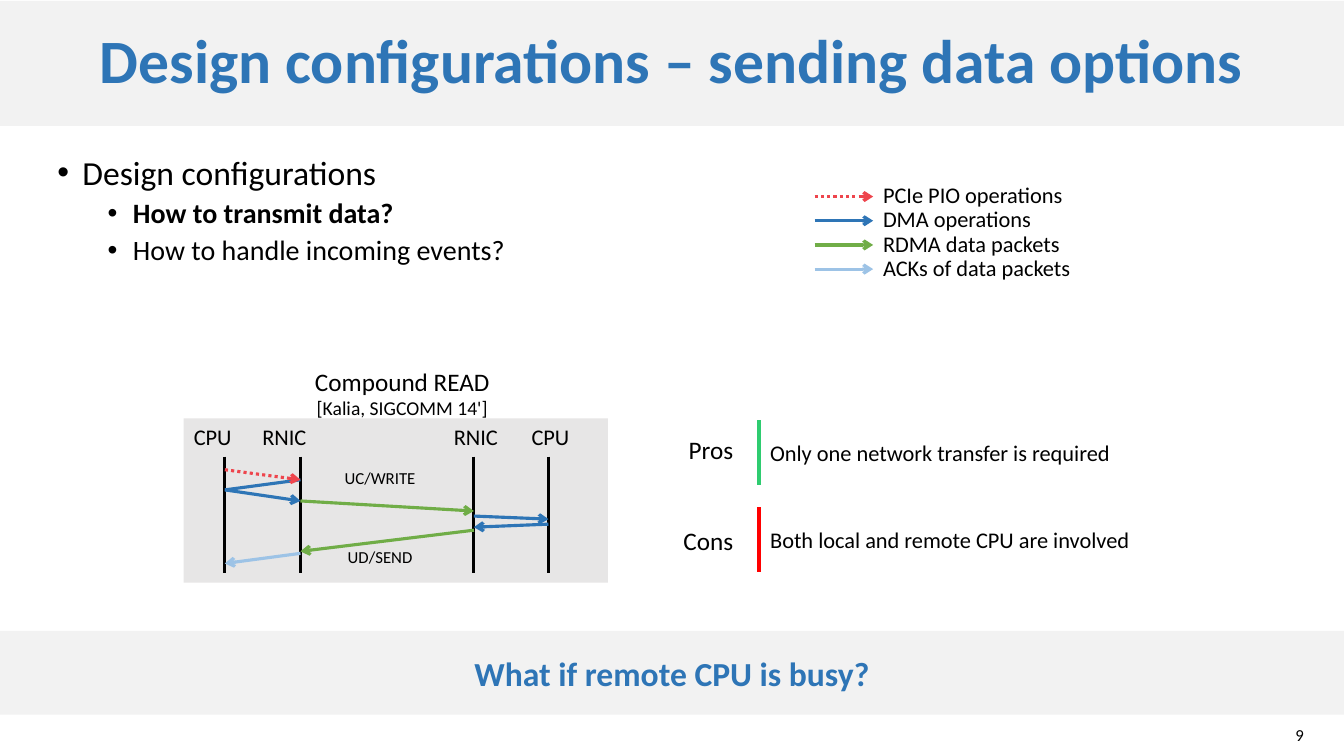
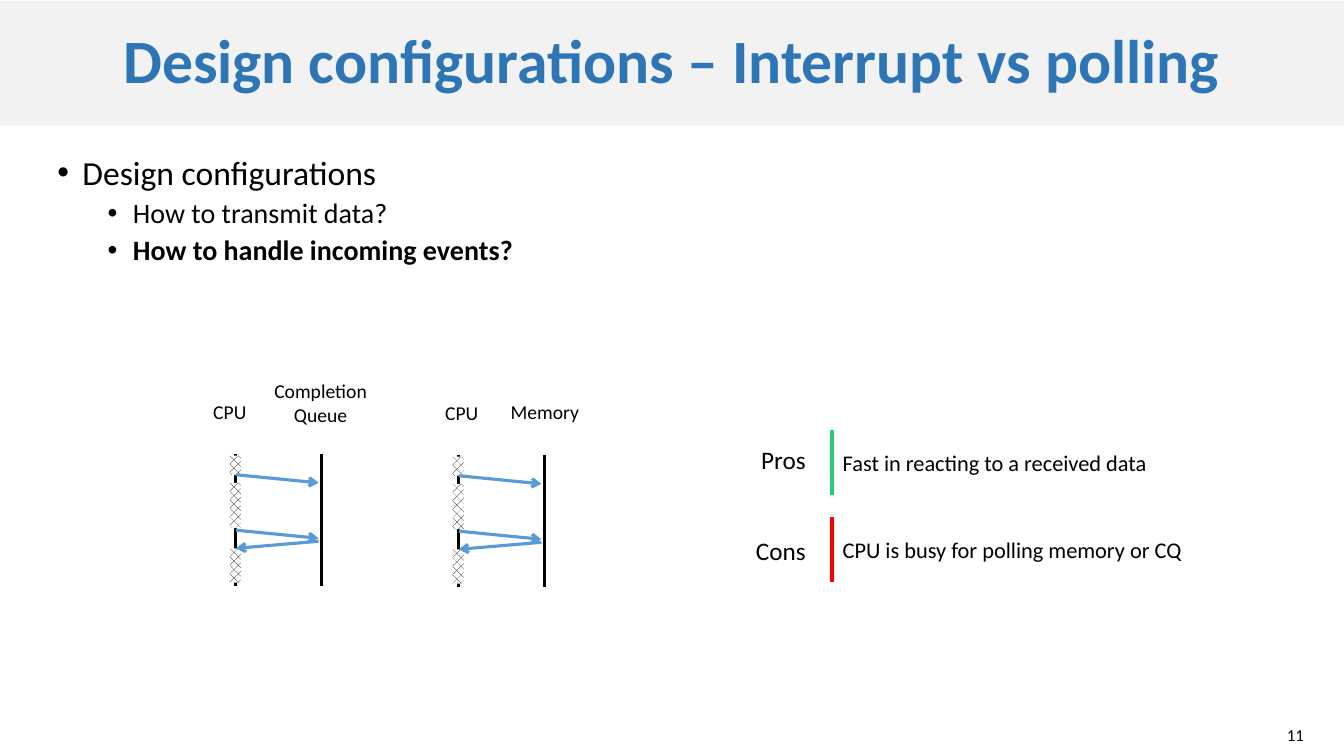
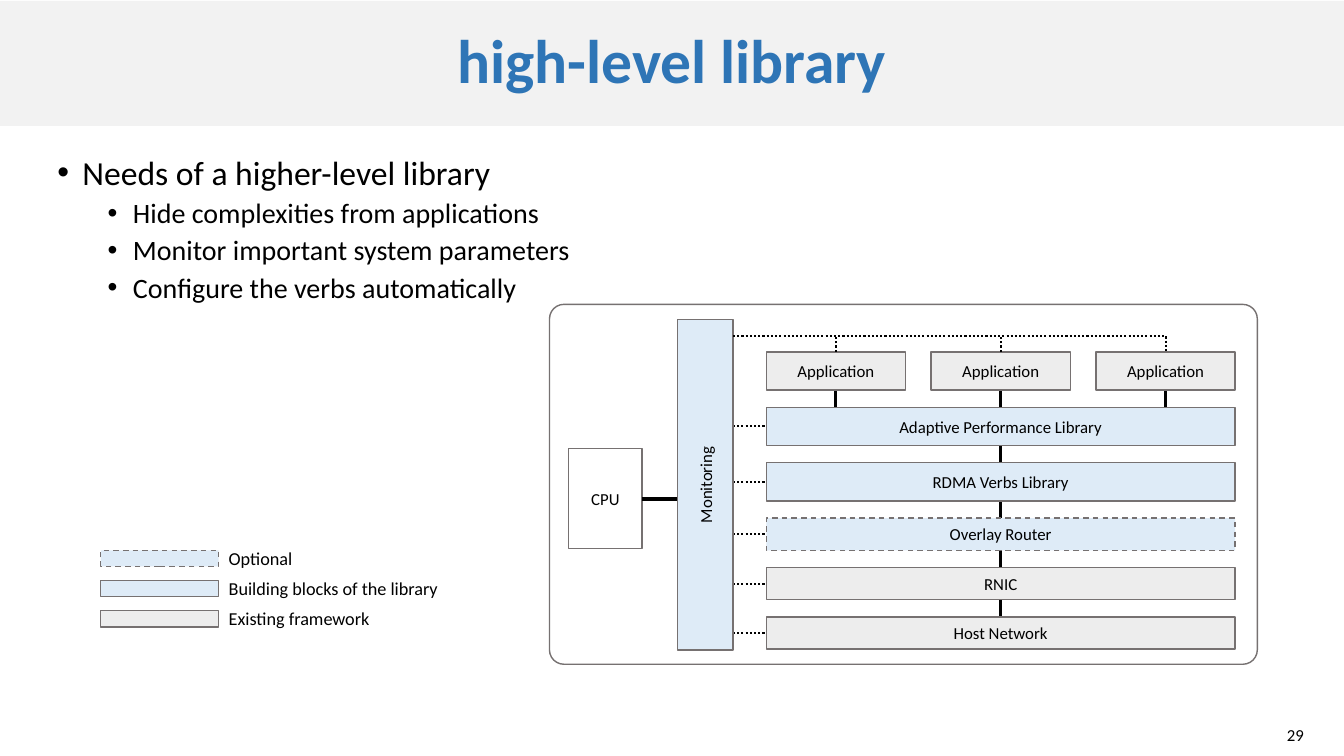
from lxml import etree
from pptx import Presentation
from pptx.dml.color import RGBColor
from pptx.enum import dml, shapes, text
from pptx.oxml.ns import qn
from pptx.util import Inches, Pt

KIND = shapes.MSO_SHAPE
DOT, DASH = dml.MSO_LINE.ROUND_DOT, dml.MSO_LINE.DASH
HATCH = dml.MSO_PATTERN.from_xml("pct40")
LEFT, MID, RIGHT = text.PP_ALIGN.LEFT, text.PP_ALIGN.CENTER, text.PP_ALIGN.RIGHT


class Theme:
    font = "Calibri"
    black, white = "000000", "FFFFFF"
    band, title, panel = "F2F2F2", "2E75B6", "E7E6E6"
    pio, dma, data, ack = "EE454D", "2E75B6", "70AD47", "9DC3E6"
    poll, pro, con = "5B9BD5", "2ECC70", "FF0000"
    block, old, edge = "DEEBF7", "EDEDED", "767171"
    head, lead, sub, name, body, key, note, tiny = 44, 24, 20, 18, 16, 13, 14, 12
    thin, dots, thick, bar = 1, 1.5, 2.25, 3


T = Theme

# Each bullet: level, text, bold
SEND = {
    "title": "Design configurations – sending data options",
    "page": "9",
    "bullets": [(0, "Design configurations", False),
                (1, "How to transmit data?", True),
                (1, "How to handle incoming events?", False)],
    "pros": "Only one network transfer is required",
    "cons": "Both local and remote CPU are involved",
    "ask": "What if remote CPU is busy?",
}
POLL = {
    "title": "Design configurations – Interrupt vs polling",
    "page": "11",
    "bullets": [(0, "Design configurations", False),
                (1, "How to transmit data?", False),
                (1, "How to handle incoming events?", True)],
    "pros": "Fast in reacting to a received data",
    "cons": "CPU is busy for polling memory or CQ",
}
LIB = {
    "title": "high-level library",
    "page": "29",
    "bullets": [(0, "Needs of a higher-level library", False),
                (1, "Hide complexities from applications", False),
                (1, "Monitor important system parameters", False),
                (1, "Configure the verbs automatically", False)],
}

OPS = [("PCIe PIO operations", T.pio, DOT), ("DMA operations", T.dma, None),
       ("RDMA data packets", T.data, None), ("ACKs of data packets", T.ack, None)]

# Lifelines: x, label, label centre
LIVES = [(2.23, "CPU", 2.11), (2.98, "RNIC", 2.82),
         (4.7, "RNIC", 4.72), (5.44, "CPU", 5.46)]
# Messages: from lifeline, y, to lifeline, y, colour, dash, arrow
CALLS = [(1, 4.76, 0, 4.86, T.dma, None, False),
         (0, 4.86, 1, 4.97, T.dma, None, True),
         (1, 4.97, 2, 5.07, T.data, None, True),
         (2, 5.12, 3, 5.15, T.dma, None, True),
         (2, 5.26, 1, 5.47, T.data, None, True),
         (1, 5.49, 0, 5.59, T.ack, None, True),
         (0, 4.66, 1, 4.76, T.pio, DOT, True),
         (3, 5.2, 2, 5.23, T.dma, None, True)]
VERBS = [("UC/WRITE", 4.59), ("UD/SEND", 5.37)]

# Polling charts: left, top, then labels as text, left, top, width
CHARTS = [(2.34, 4.5, [("CPU", 1.83, 3.92, 0.9), ("Completion Queue", 2.5, 3.71, 1.36)]),
          (4.55, 4.51, [("CPU", 4.13, 3.93, 0.9), ("Memory", 4.82, 3.92, 1.17)])]
BUSY = [(0.02, 0.19), (0.29, 0.45), (0.94, 0.34)]
POLLS = [(0, 0.21, 0.82, 0.29), (0, 0.76, 0.82, 0.84), (0.82, 0.87, 0, 0.94)]

LAYERS = [("Adaptive Performance Library", 0.38, T.block, None),
          ("RDMA Verbs Library", 0.38, T.block, None),
          ("Overlay Router", 0.32, T.block, DASH),
          ("RNIC", 0.32, T.old, None),
          ("Host Network", 0.32, T.old, None)]
KEYS = [("Optional", T.block, DASH), ("Building blocks of the library", T.block, None),
        ("Existing framework", T.old, None)]


def rgb(code):
    return RGBColor.from_string(code)


def style(para, size, color=T.black, bold=False):
    form = {"name": T.font, "size": Pt(size), "bold": bold}
    for key, val in form.items():
        setattr(para.font, key, val)
    para.font.color.rgb = rgb(color)


def write(frame, lines, align=LEFT):
    """Fill a frame with (text, size, colour, bold) lines."""
    frame.word_wrap = True
    for i, (words, *form) in enumerate(lines):
        para = frame.add_paragraph() if i else frame.paragraphs[0]
        para.text, para.alignment = words, align
        style(para, *form)


def label(slide, at, words, size, align=LEFT):
    tb = slide.shapes.add_textbox(*map(Inches, at))
    write(tb.text_frame, [(words, size)], align)
    return tb


def box(slide, at, fill, edge=None, dash=None, line=None, kind=KIND.RECTANGLE):
    shape = slide.shapes.add_shape(kind, *map(Inches, at))
    shape.shadow.inherit = False
    shape.fill.solid()
    shape.fill.fore_color.rgb = rgb(fill)
    if edge:
        shape.line.color.rgb = rgb(edge)
        shape.line.width = Pt(T.thin)
        shape.line.dash_style = dash
    else:
        shape.line.fill.background()
    if line:
        write(shape.text_frame, [line], MID)
        shape.text_frame.vertical_anchor = text.MSO_ANCHOR.MIDDLE
    return shape


def wire(slide, start, end, color=T.black, width=T.thick, dash=None, arrow=False,
         kind=shapes.MSO_CONNECTOR.STRAIGHT):
    con = slide.shapes.add_connector(kind, *map(Inches, (*start, *end)))
    con.line.color.rgb = rgb(color)
    con.line.width = Pt(width)
    con.line.dash_style = dash
    prop = con._element.spPr
    if arrow:
        etree.SubElement(prop.find(qn("a:ln")), qn("a:tailEnd"), type="arrow")
    etree.SubElement(prop, qn("a:effectLst"))
    return con


def bullets(slide, items):
    frame = slide.shapes.add_textbox(*map(Inches, (0.47, 1.5, 12.36, 4.83))).text_frame
    frame.word_wrap = True
    for i, (level, words, bold) in enumerate(items):
        para = frame.add_paragraph() if i else frame.paragraphs[0]
        para.text, para.level = words, level
        prop = para._p.get_or_add_pPr()
        prop.set("marL", str(Inches(0.25 + 0.5 * level)))
        prop.set("indent", str(Inches(-0.25)))
        etree.SubElement(prop, qn("a:buFont"), typeface="Arial")
        etree.SubElement(prop, qn("a:buChar"), char="•")
        para.line_spacing = 0.9
        if i:
            para.space_before = Pt(5)
        style(para, T.sub if level else T.lead, bold=bold)


def start(deck, info):
    """Add a slide with title band, bullets and page number."""
    slide = deck.slides.add_slide(deck.slide_layouts[6])
    band = box(slide, (0, 0.01, 13.33, 1.24), T.band,
               line=(info["title"], T.head, T.title, True))
    band.text_frame.paragraphs[0].line_spacing = 0.9
    bullets(slide, info["bullets"])
    page = label(slide, (11.96, 7.14, 1.07, 0.3), info["page"], T.tiny, RIGHT)
    page.text_frame.vertical_anchor = text.MSO_ANCHOR.MIDDLE
    return slide


def verdict(slide, info, x, top):
    """Draw the pros and cons, each beside its coloured bar."""
    rows = [("Pros", info["pros"], T.pro, 0.09), ("Cons", info["cons"], T.con, 0.13)]
    for i, (name, words, color, drop) in enumerate(rows):
        y = top + 0.86 * i
        wire(slide, (x, y), (x, y + 0.64), color, T.bar)
        label(slide, (x - 1.16, y + drop, 1, 0.4), name, T.name, RIGHT)
        label(slide, (x + 0.01, y + 0.14, 4.5, 0.37), words, T.body)


def send(deck):
    slide = start(deck, SEND)
    verdict(slide, SEND, 7.53, 4.17)
    box(slide, (1.82, 4.15, 4.21, 1.63), T.panel)
    for x, name, mid in LIVES:
        wire(slide, (x, 4.53), (x, 5.68))
        label(slide, (mid - 0.5, 4.15, 1, 0.45), name, T.body, MID)
    for a, y, b, end, color, dash, arrow in CALLS:
        wire(slide, (LIVES[a][0], y), (LIVES[b][0], end), color, dash=dash, arrow=arrow)
    for name, y in VERBS:
        label(slide, (3.1, y, 1.34, 0.37), name, T.tiny, MID)
    head = slide.shapes.add_textbox(*map(Inches, (2.65, 3.58, 2.68, 0.78)))
    write(head.text_frame, [("Compound READ", T.name),
                            ("[Kalia, SIGCOMM 14']", T.note)], MID)
    for i, (name, color, dash) in enumerate(OPS):
        y = 1.95 + 0.24 * i
        wire(slide, (8.08, y), (8.66, y), color, dash=dash, arrow=True)
        label(slide, (8.66, y - 0.2, 2.5, 0.37), name, T.body)
    box(slide, (0, 6.26, 13.33, 0.83), T.band, line=(SEND["ask"], T.lead, T.title, True))


def poll(deck):
    slide = start(deck, POLL)
    for x, y, names in CHARTS:
        for life in (x, x + 0.85):
            wire(slide, (life, y), (life, y + 1.31))
        for name, left, top, width in names:
            label(slide, (left, top, width, 0.55), name, T.note, MID)
        for drop, tall in BUSY:
            fill = box(slide, (x - 0.06, y + drop, 0.11, tall), T.white).fill
            fill.patterned()
            fill.pattern = HATCH
            fill.fore_color.rgb, fill.back_color.rgb = rgb(T.black), rgb(T.white)
        for a, b, c, d in POLLS:
            wire(slide, (x + a, y + b), (x + c, y + d), T.poll, arrow=True)
    verdict(slide, POLL, 8.25, 4.27)


def library(deck):
    slide = start(deck, LIB)
    frame = box(slide, (5.45, 3.02, 7.02, 3.57), T.white, T.edge,
                kind=KIND.ROUNDED_RECTANGLE)
    frame.adjustments[0] = 0.04
    left, wide, gap, spine = 7.6, 4.65, 0.17, 7.27
    app, tall, top, bus = 1.38, 0.38, 3.49, 3.33
    step = (wide - app) / 2
    mids = [left + app / 2 + step * i for i in range(3)]
    first = top + tall + gap
    last = first + sum(row[1] + gap for row in LAYERS[:-1])

    wire(slide, (mids[1], first), (mids[1], last))
    for mid in mids:
        wire(slide, (mid, top + tall), (mid, first))
        box(slide, (mid - app / 2, top, app, tall), T.old, T.edge,
            line=("Application", T.tiny))
    y = first
    for name, high, fill, dash in LAYERS:
        wire(slide, (spine, y + high / 2), (left, y + high / 2), width=T.dots, dash=DOT)
        box(slide, (left, y, wide, high), fill, T.edge, dash, (name, T.tiny))
        y += high + gap

    side = box(slide, (6.72, 3.17, 0.55, 3.28), T.block, T.edge, line=("Monitoring", T.tiny))
    side._element.txBody.find(qn("a:bodyPr")).set("vert", "vert270")
    box(slide, (5.64, 4.45, 0.73, 0.99), T.white, T.edge, line=("CPU", T.tiny))
    wire(slide, (6.37, 4.95), (6.71, 4.95))
    bend = wire(slide, (spine, bus), (mids[2], top), width=T.dots, dash=DOT,
                kind=shapes.MSO_CONNECTOR.ELBOW)
    bend._element.spPr.find(qn("a:prstGeom")).set("prst", "bentConnector2")
    for mid in mids[:2]:
        wire(slide, (mid, top), (mid, bus), width=T.dots, dash=DOT)

    for i, (name, fill, dash) in enumerate(KEYS):
        y = 5.46 + 0.3 * i
        box(slide, (1, y, 1.17, 0.16), fill, T.edge, dash)
        label(slide, (2.17, y - 0.08, 2.6, 0.32), name, T.key)


def main():
    deck = Presentation()
    deck.slide_width, deck.slide_height = Inches(13.33), Inches(7.5)
    for build in (send, poll, library):
        build(deck)
    deck.save("out.pptx")


if __name__ == "__main__":
    main()
